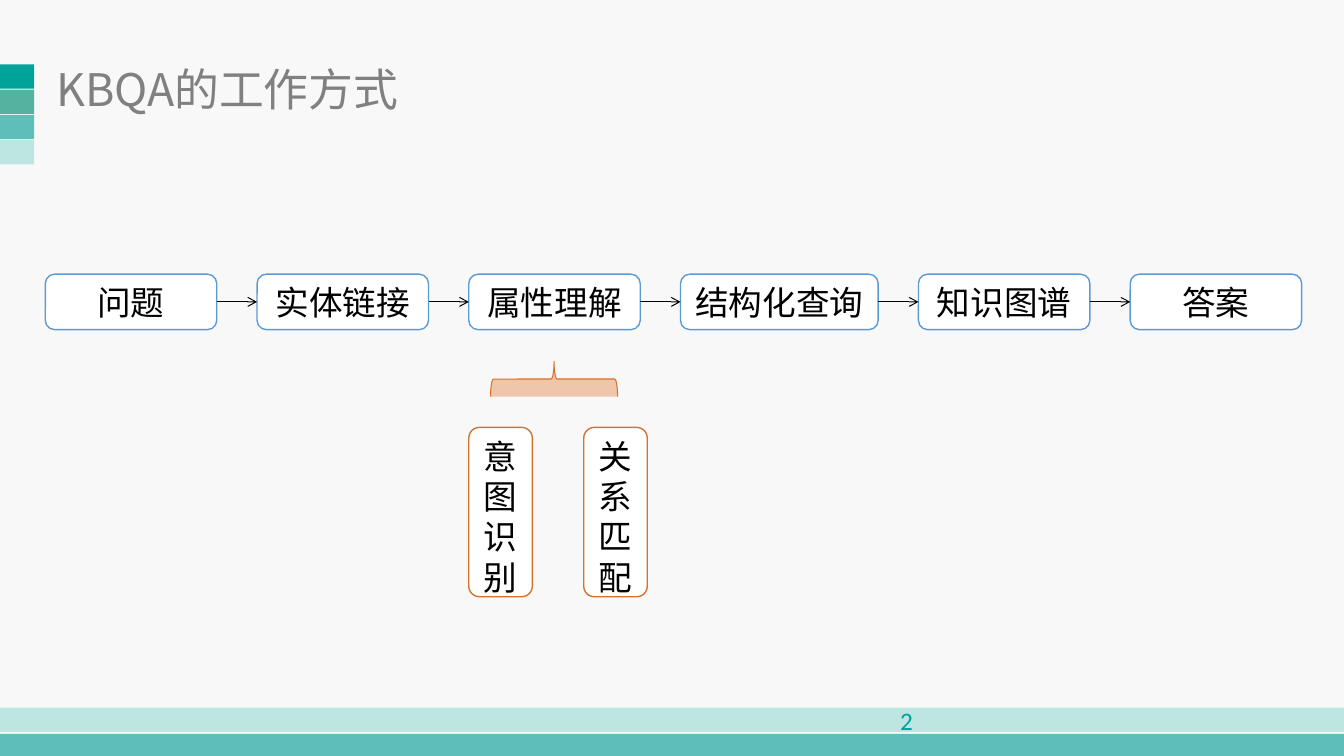
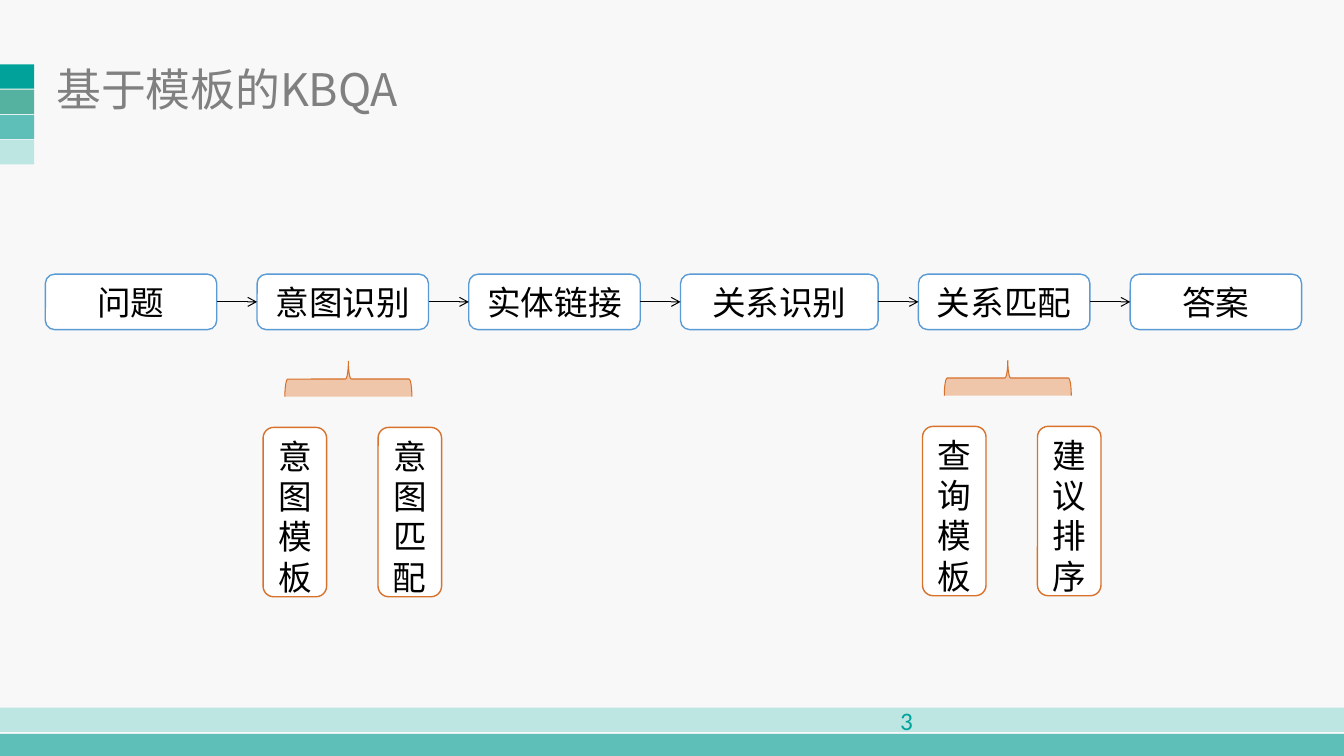
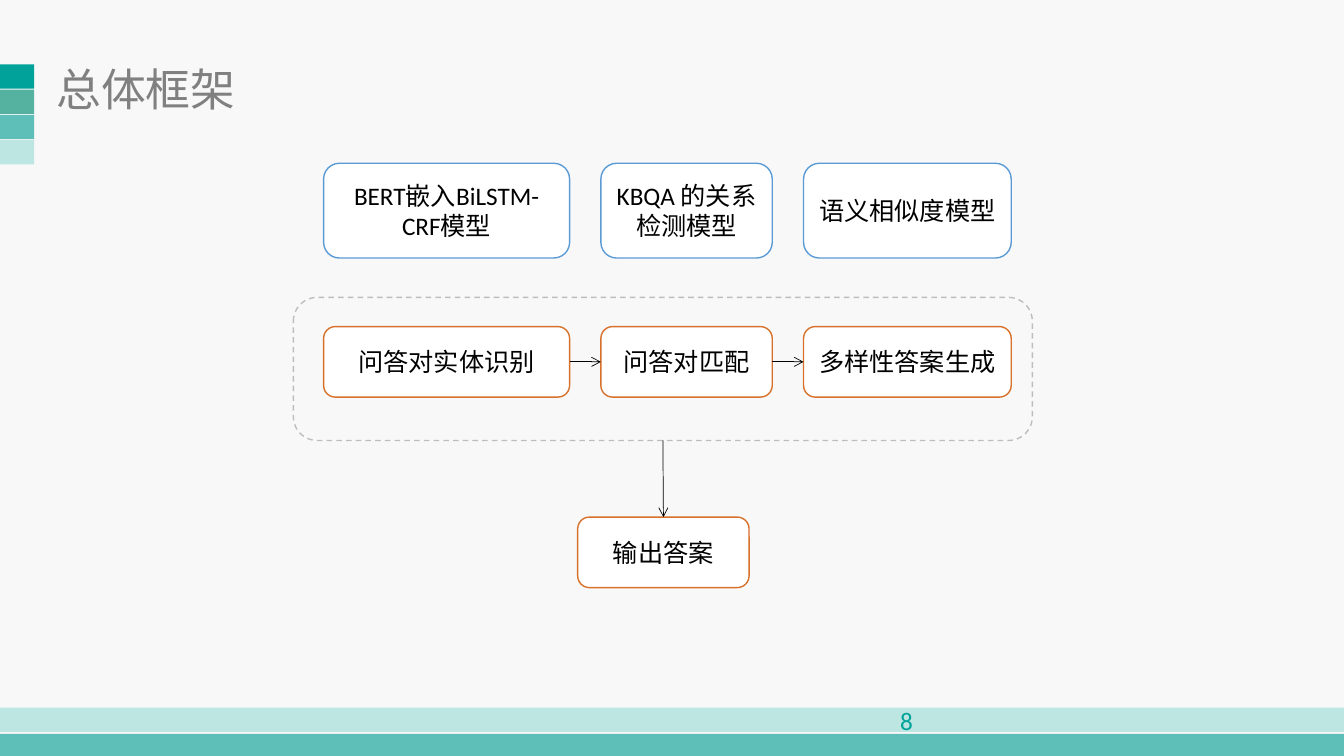
import pptx
import pptx.util
import pptx.dml.color
import pptx.enum.dml
import pptx.enum.shapes
import pptx.enum.text
import pptx.oxml
import pptx.oxml.ns

Inches = pptx.util.Inches
Pt = pptx.util.Pt
RGBColor = pptx.dml.color.RGBColor
SHAPE = pptx.enum.shapes.MSO_SHAPE
ANCHOR = pptx.enum.text.MSO_ANCHOR
ALIGN = pptx.enum.text.PP_ALIGN

PAPER = RGBColor(0xF8, 0xF8, 0xF8)
WHITE = RGBColor(0xFF, 0xFF, 0xFF)
BLACK = RGBColor(0, 0, 0)
GREY = RGBColor(0x80, 0x80, 0x80)
FRAME_GREY = RGBColor(0xBD, 0xBD, 0xBD)
TEAL = RGBColor(0x00, 0xA2, 0x9A)
GREEN = RGBColor(0x55, 0xB2, 0xA0)
AQUA = RGBColor(0x5E, 0xBF, 0xB8)
MINT = RGBColor(0xBD, 0xE5, 0xE2)
BLUE = RGBColor(0x5B, 0x9B, 0xD5)
ORANGE = RGBColor(0xD7, 0x71, 0x2B)
PEACH = RGBColor(0xEF, 0xC6, 0xAA)

BODY_FONT = "Calibri"
TITLE_FONT = "Noto Sans CJK SC"
TOP, LEFT, BOTTOM, RIGHT = range(4)

STEP_WIDTHS = (1.7, 1.7, 1.7, 1.96, 1.7, 1.7)
STEP_ROW = {"left": 0.45, "top": 2.72, "height": 0.55, "gap": 0.4, "size": 24, "anchor": ANCHOR.TOP}
MODEL_WIDTHS = (2.44, 1.7, 2.06)
MODEL_ROW = {"left": 3.21, "gap": 0.31, "size": 18, "anchor": ANCHOR.MIDDLE}


def set_text(shape, text, size, color, font, anchor, align):
    frame = shape.text_frame
    frame.text = text
    for name, value in {"word_wrap": True, "vertical_anchor": anchor,
                        "auto_size": pptx.enum.text.MSO_AUTO_SIZE.NONE}.items():
        setattr(frame, name, value)
    paragraph = frame.paragraphs[0]
    paragraph.alignment = align
    run = paragraph.runs[0]
    for name, value in {"size": Pt(size), "name": font, "bold": False}.items():
        setattr(run.font, name, value)
    run.font.color.rgb = color
    properties = run.font._element
    east_asian = pptx.oxml.parse_xml(
        f'<a:ea {pptx.oxml.ns.nsdecls("a")} typeface="{font}"/>')
    properties.find(pptx.oxml.ns.qn("a:latin")).addnext(east_asian)
    return properties


def add_shape(slide, kind, left, top, width, height, fill=None, line=None, weight=1):
    shape = slide.shapes.add_shape(kind, Inches(left), Inches(top), Inches(width), Inches(height))
    shape.shadow.inherit = False
    for part, color in ((shape.fill, fill), (shape.line.fill, line)):
        if color is None:
            part.background()
        else:
            part.solid()
            part.fore_color.rgb = color
    if line is not None:
        shape.line.width = Pt(weight)
    return shape


def add_box(slide, text, left, top, width, height, line, size, anchor):
    box = add_shape(slide, SHAPE.ROUNDED_RECTANGLE, left, top, width, height, WHITE, line)
    set_text(box, text, size, BLACK, BODY_FONT, anchor, ALIGN.CENTER)
    return box


def add_row(slide, texts, widths, left, top, height, gap, line, size, anchor):
    boxes = []
    for text, width in zip(texts, widths):
        boxes.append(add_box(slide, text, left, top, width, height, line, size, anchor))
        left += width + gap
    return boxes


def add_arrow(slide, start, start_site, end, end_site, weight):
    arrow = slide.shapes.add_connector(pptx.enum.shapes.MSO_CONNECTOR.STRAIGHT, 0, 0, 0, 0)
    arrow.begin_connect(start, start_site)
    arrow.end_connect(end, end_site)
    arrow.line.color.rgb = BLACK
    arrow.line.width = Pt(weight)
    namespace = pptx.oxml.ns.nsdecls("a")
    arrow.line._get_or_add_ln().append(
        pptx.oxml.parse_xml(f'<a:tailEnd {namespace} type="arrow"/>'))
    arrow._element.spPr.append(pptx.oxml.parse_xml(f"<a:effectLst {namespace}/>"))


def chain(slide, boxes, weight):
    for start, end in zip(boxes, boxes[1:]):
        add_arrow(slide, start, RIGHT, end, LEFT, weight)


def add_steps(slide, texts):
    boxes = add_row(slide, texts, STEP_WIDTHS, line=BLUE, **STEP_ROW)
    chain(slide, boxes, 0.75)


def add_detail(slide, texts, left, top):
    brace = add_shape(slide, SHAPE.LEFT_BRACE, left + 0.67, top - 1.11, 0.35, 1.26,
                      PEACH, ORANGE, 0.75)
    brace.rotation = 90
    add_row(slide, texts, (0.63, 0.63), left, top, 1.68, 0.51, ORANGE, 24, ANCHOR.TOP)


def decorate_layout(slide):
    layout = slide.slide_layout
    layout.background.fill.solid()
    layout.background.fill.fore_color.rgb = PAPER
    bars = [add_shape(slide, SHAPE.RECTANGLE, 0, 0.64 + 0.25 * row, 0.34, 0.24, color)
            for row, color in enumerate((TEAL, GREEN, AQUA, MINT))]
    bars.append(add_shape(slide, SHAPE.RECTANGLE, 0, 7.02, 13.33, 0.24, MINT))
    bars.append(add_shape(slide, SHAPE.RECTANGLE, 0, 7.28, 13.33, 0.22, AQUA))
    tree = layout.shapes._spTree
    for position, bar in enumerate(bars):
        bar._element.nvSpPr.cNvPr.set("id", str(101 + position))
        tree.insert(2 + position, bar._element)


def add_slide(presentation, title, number):
    slide = presentation.slides.add_slide(presentation.slide_layouts[5])
    heading = slide.shapes.title
    for name, value in {"left": 0.46, "top": 0.61, "width": 9.85, "height": 0.54}.items():
        setattr(heading, name, Inches(value))
    properties = set_text(heading, title, 32, GREY, TITLE_FONT, ANCHOR.MIDDLE, ALIGN.LEFT)
    properties.set("spc", "-10")
    page = slide.shapes.add_textbox(Inches(8.83), Inches(6.95), Inches(3.58), Inches(0.4))
    set_text(page, number, 18, TEAL, BODY_FONT, ANCHOR.TOP, ALIGN.LEFT)
    return slide


def build_workflow(presentation):
    slide = add_slide(presentation, "KBQA的工作方式", "2")
    decorate_layout(slide)
    add_steps(slide, ("问题", "实体链接", "属性理解", "结构化查询", "知识图谱", "答案"))
    add_detail(slide, ("意图识别", "关系匹配"), 4.65, 4.24)


def build_templates(presentation):
    slide = add_slide(presentation, "基于模板的KBQA", "3")
    add_steps(slide, ("问题", "意图识别", "实体链接", "关系识别", "关系匹配", "答案"))
    add_detail(slide, ("意图模板", "意图匹配"), 2.61, 4.24)
    add_detail(slide, ("查询模板", "建议排序"), 9.15, 4.23)


def build_framework(presentation):
    slide = add_slide(presentation, "总体框架", "8")
    add_row(slide, ("BERT嵌入BiLSTM-CRF模型", "KBQA 的关系检测模型", "语义相似度模型"),
            MODEL_WIDTHS, top=1.62, height=0.94, line=BLUE, **MODEL_ROW)
    frame = add_shape(slide, SHAPE.ROUNDED_RECTANGLE, 2.91, 2.95, 7.33, 1.42, line=FRAME_GREY)
    frame.line.dash_style = pptx.enum.dml.MSO_LINE.DASH
    stages = add_row(slide, ("问答对实体识别", "问答对匹配", "多样性答案生成"),
                     MODEL_WIDTHS, top=3.24, height=0.7, line=ORANGE, **MODEL_ROW)
    chain(slide, stages, 0.5)
    answer = add_box(slide, "输出答案", 5.73, 5.13, 1.7, 0.7, ORANGE, 18, ANCHOR.MIDDLE)
    add_arrow(slide, frame, BOTTOM, answer, TOP, 0.5)


def main():
    presentation = pptx.Presentation()
    presentation.slide_width = Inches(13.33)
    presentation.slide_height = Inches(7.5)
    build_workflow(presentation)
    build_templates(presentation)
    build_framework(presentation)
    presentation.save("out.pptx")


if __name__ == "__main__":
    main()
